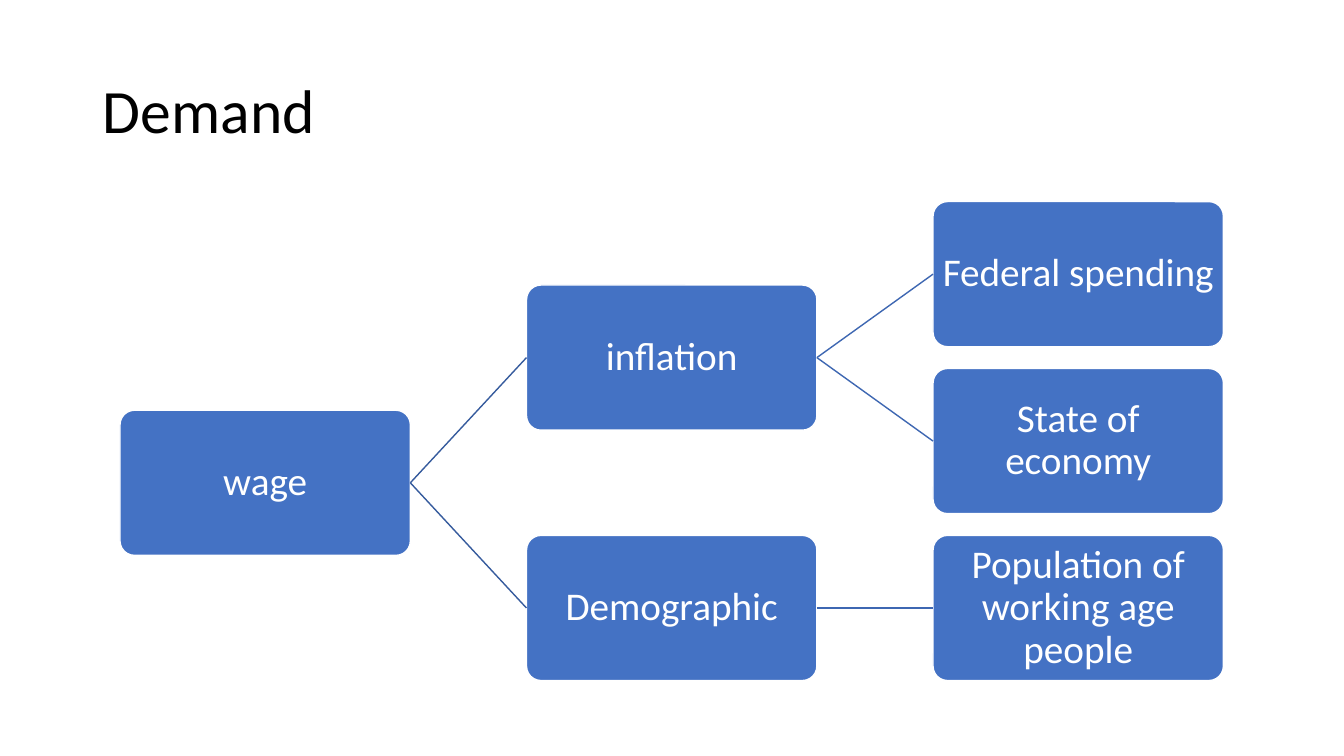
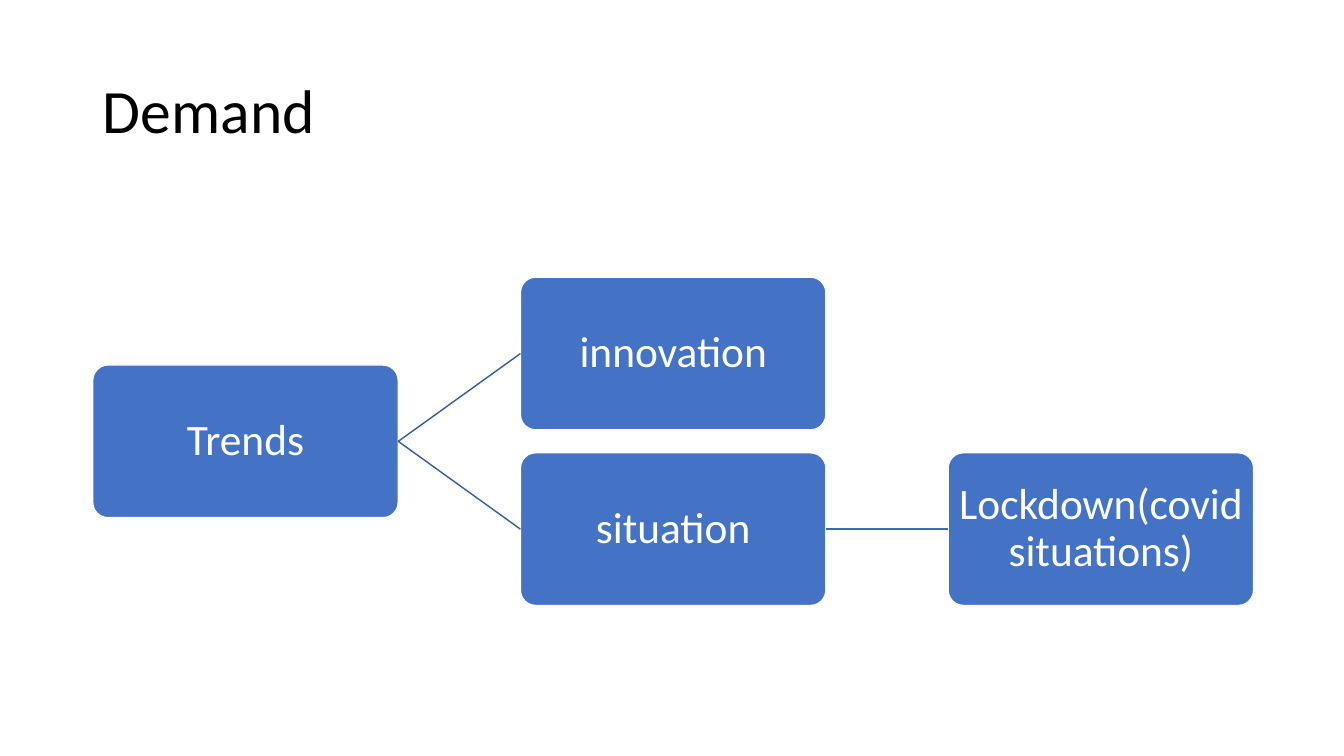
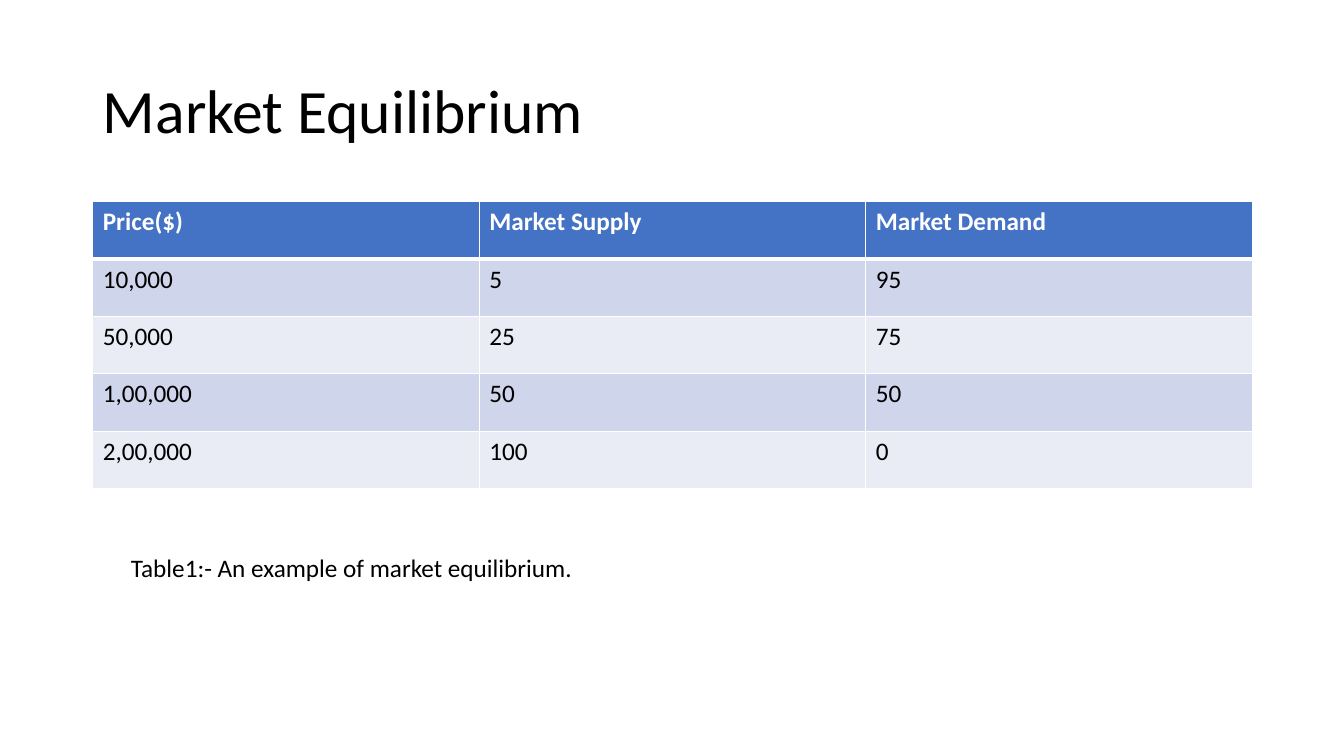
"""Builds three economics slides: two demand trees and a market equilibrium table."""
from dataclasses import dataclass

from lxml import etree
from pptx import Presentation
from pptx import util as u
from pptx.dml.color import RGBColor
from pptx.enum import shapes, text
from pptx.oxml import ns

WHITE = RGBColor(0xFF, 0xFF, 0xFF)
BLACK = RGBColor(0, 0, 0)
BLUE = RGBColor(0x44, 0x72, 0xC4)
BAND_COLOURS = (RGBColor(0xE9, 0xEB, 0xF5), RGBColor(0xCF, 0xD5, 0xEA))
LINK_COLOURS = (RGBColor(0x36, 0x5B, 0x9D), RGBColor(0x3E, 0x67, 0xB2))

FONT = "Calibri"
MARGIN = 0.92
CONTENT_WIDTH = 11.5
CONTENT_TOP = 2
COLUMN_PITCH = 1.4
ROW_PITCH = 1.15
LEFT_SITE, RIGHT_SITE = 1, 3


@dataclass
class Node:
    """A tree entry, with its row in the grid and its branches."""

    label: str
    row: float
    branches: tuple = ()


@dataclass
class Grid:
    """Where a tree starts, how wide its boxes are, and its text size."""

    left: float
    top: float
    box_width: float
    size: int

    def cell(self, column, row):
        """Return left, top, width and height of a box."""
        width, height = self.box_width, self.box_width / 2
        left = self.left + column * COLUMN_PITCH * width
        top = self.top + row * ROW_PITCH * height
        return [u.Inches(length) for length in (left, top, width, height)]


WAGE = Node("wage", 1.25, (
    Node("inflation", 0.5, (Node("Federal spending", 0), Node("State of economy", 1))),
    Node("Demographic", 2, (Node("Population of working age people", 2),)),
))
TRENDS = Node("Trends", 0.5, (
    Node("innovation", 0),
    Node("situation", 1, (Node("Lockdown(covid situations)", 1),)),
))
MARKET = (
    ("Price($)", "Market Supply", "Market Demand"),
    ("10,000", "5", "95"),
    ("50,000", "25", "75"),
    ("1,00,000", "50", "50"),
    ("2,00,000", "100", "0"),
)


def write(frame, words, size, colour, bold=False, align=text.PP_ALIGN.LEFT, spacing=1.0):
    """Put one formatted paragraph into a text frame."""
    frame.text = words
    para = frame.paragraphs[0]
    para.alignment = align
    para.line_spacing = spacing
    font = para.runs[0].font
    font.name, font.size, font.bold = FONT, u.Pt(size), bold
    font.color.rgb = colour


def add_page(deck, title):
    """Add a title-only slide with the shared title style."""
    page = deck.slides.add_slide(deck.slide_layouts[5])
    box = page.shapes.title
    box.left, box.top = u.Inches(MARGIN), u.Inches(0.4)
    box.width, box.height = u.Inches(CONTENT_WIDTH), u.Inches(1.45)
    box.text_frame.vertical_anchor = text.MSO_ANCHOR.MIDDLE
    write(box.text_frame, title, 44, BLACK, spacing=0.9)
    return page


def add_box(page, grid, column, node):
    """Add a rounded box with a centred label."""
    box = page.shapes.add_shape(
        shapes.MSO_SHAPE.ROUNDED_RECTANGLE, *grid.cell(column, node.row))
    box.adjustments[0] = 0.1
    box.shadow.inherit = False
    box.fill.solid()
    box.fill.fore_color.rgb = BLUE
    box.line.color.rgb = WHITE
    box.line.width = u.Pt(1)
    frame = box.text_frame
    frame.word_wrap = True
    frame.vertical_anchor = text.MSO_ANCHOR.MIDDLE
    frame.margin_left = frame.margin_right = u.Inches(0.04)
    frame.margin_top = frame.margin_bottom = u.Inches(0.04)
    write(frame, node.label, grid.size, WHITE, align=text.PP_ALIGN.CENTER, spacing=0.9)
    return box


def add_link(page, parent, child, colour):
    """Join the right side of one box to the left side of another."""
    link = page.shapes.add_connector(shapes.MSO_CONNECTOR.STRAIGHT, 0, 0, 0, 0)
    link.begin_connect(parent, RIGHT_SITE)
    link.end_connect(child, LEFT_SITE)
    link.line.color.rgb = colour
    link.line.width = u.Pt(1)
    etree.SubElement(link._element.spPr, ns.qn("a:effectLst"))


def add_tree(page, grid, node, column=0):
    """Draw a node and its branches, and return the node's box."""
    box = add_box(page, grid, column, node)
    for branch in node.branches:
        child = add_tree(page, grid, branch, column + 1)
        add_link(page, box, child, LINK_COLOURS[column])
    return box


def set_borders(cell, top, bottom):
    """Give a cell white borders of the given top and bottom widths in points."""
    properties = cell._tc.get_or_add_tcPr()
    sides = (("lnL", 1), ("lnR", 1), ("lnT", top), ("lnB", bottom))
    for index, (side, width) in enumerate(sides):
        line = etree.Element(ns.qn(f"a:{side}"), w=str(u.Pt(width)))
        fill = etree.SubElement(line, ns.qn("a:solidFill"))
        etree.SubElement(fill, ns.qn("a:srgbClr"), val=str(WHITE))
        properties.insert(index, line)


def add_market_table(page, rows, row_height):
    """Add a banded table with a blue header row."""
    table = page.shapes.add_table(
        len(rows), len(rows[0]), u.Inches(MARGIN), u.Inches(CONTENT_TOP),
        u.Inches(CONTENT_WIDTH), u.Inches(row_height * len(rows))).table
    for r, values in enumerate(rows):
        header = r == 0
        for c, value in enumerate(values):
            cell = table.cell(r, c)
            write(cell.text_frame, value, 18, WHITE if header else BLACK, bold=header)
            cell.fill.solid()
            cell.fill.fore_color.rgb = BLUE if header else BAND_COLOURS[r % 2]
            set_borders(cell, top=3 if r == 1 else 1, bottom=3 if header else 1)


def add_caption(page, words):
    """Add a caption below the table."""
    box = page.shapes.add_textbox(
        u.Inches(1.2), u.Inches(5.43), u.Inches(5.96), u.Inches(0.4))
    box.text_frame.word_wrap = True
    write(box.text_frame, words, 18, BLACK)


def main():
    """Build and save the deck."""
    deck = Presentation()
    deck.slide_width, deck.slide_height = u.Inches(13.33), u.Inches(7.5)
    add_tree(add_page(deck, "Demand"), Grid(1.19, CONTENT_TOP, 2.88, 28), WAGE)
    add_tree(add_page(deck, "Demand"), Grid(MARGIN, 2.75, 3.03, 31), TRENDS)
    page = add_page(deck, "Market Equilibrium")
    add_market_table(page, MARKET, row_height=0.57)
    add_caption(page, "Table1:- An example of market equilibrium.")
    deck.save("out.pptx")


if __name__ == "__main__":
    main()
